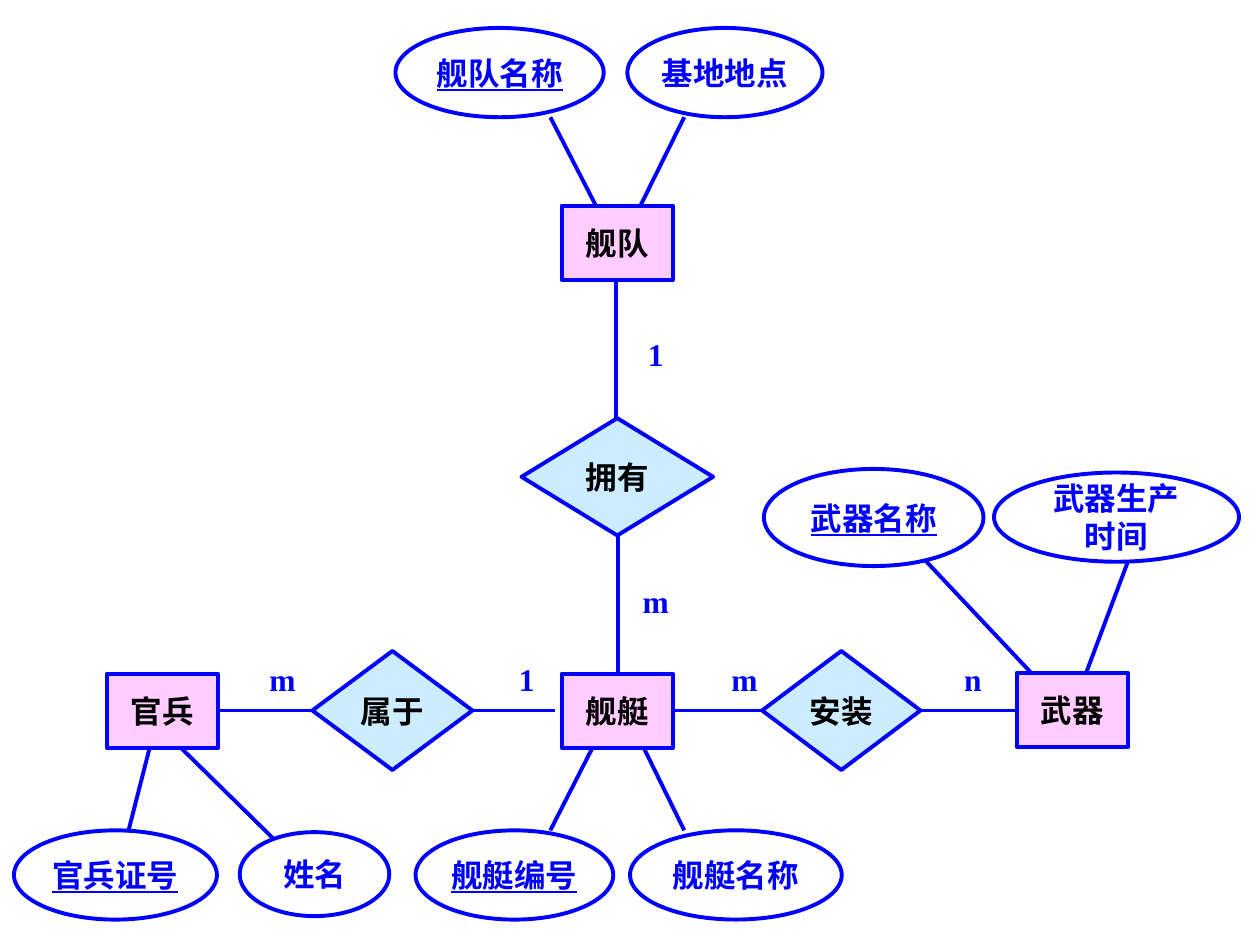
from dataclasses import dataclass

from lxml.etree import SubElement
from pptx import Presentation
from pptx.dml.color import RGBColor as RGB
from pptx.enum.shapes import MSO_CONNECTOR as Conn, MSO_SHAPE as Geo
from pptx.enum.text import MSO_ANCHOR as Anchor, PP_ALIGN as Align
from pptx.oxml.ns import qn
from pptx.util import Pt


@dataclass(frozen=True)
class Theme:
    blue: RGB = RGB(0, 0, 255)
    black: RGB = RGB(0, 0, 0)
    white: RGB = RGB(255, 255, 255)
    pink: RGB = RGB(255, 204, 255)
    sky: RGB = RGB(204, 236, 255)
    font: str = "Times New Roman"
    size: float = 18
    stroke: float = 2.25
    inset: float = 3


THEME = Theme()
BOX = (63.5, 42.5)

# Entity: name, left, top, then attributes as
# (name, is key, oval left/top/width/height, line from entity to oval).
ENTITIES = [
    ("舰队", 321, 117.5, [
        ("舰队名称", True, (226, 16, 119, 51), (340.5, 117.5, 314.5, 67)),
        ("基地地点", False, (358.5, 16, 111.5, 51), (366, 117.5, 391, 67)),
    ]),
    ("舰艇", 321, 385, [
        ("舰艇编号", True, (237.5, 474.5, 113, 51), (340.5, 423.5, 314.5, 474.5)),
        ("舰艇名称", False, (360, 474.5, 121, 51), (366, 423.5, 391, 474.5)),
    ]),
    ("武器", 581, 384.5, [
        ("武器名称", True, (436.5, 268, 125.5, 55.5), (593.5, 389, 529, 320.5)),
        ("武器生产\n时间", False, (568, 270, 140, 51), (619, 389, 644.5, 321)),
    ]),
    ("官兵", 61, 385, [
        ("官兵证号", True, (8, 474.5, 116, 51), (86.5, 423.5, 73.5, 474.5)),
        ("姓名", False, (137, 475.5, 85.5, 48), (99.5, 423.5, 156, 479)),
    ]),
]

# Relation: name, diamond frame, its two lines, its two cardinalities.
RELATIONS = [
    ("拥有", (298, 239, 109.5, 67),
     [(352, 239, 352, 160), (353, 306, 353, 384)],
     [("1", (356.5, 181.5, 36.5, 42)), ("m", (356.5, 322.5, 36.5, 42))]),
    ("属于", (178.5, 372, 91.5, 68),
     [(188, 406, 124.5, 406), (264, 406, 317, 406)],
     [("m", (149, 366.5, 25, 42.5)), ("1", (288.5, 366.5, 25, 42.5))]),
    ("安装", (435.5, 372, 90.5, 68),
     [(520, 406, 581, 406), (385, 406, 446.5, 406)],
     [("m", (413, 366.5, 25, 42.5)), ("n", (543.5, 366.5, 25, 42.5))]),
]


def write(shape, text, color=THEME.blue, under=None):
    frame = shape.text_frame
    frame.word_wrap = True
    frame.vertical_anchor = Anchor.MIDDLE
    frame.margin_left = frame.margin_right = Pt(THEME.inset)
    frame.margin_top = frame.margin_bottom = Pt(THEME.inset)
    frame.text = text
    for para in frame.paragraphs:
        para.alignment = Align.CENTER
        for run in para.runs:
            font = run.font
            font.name, font.size = THEME.font, Pt(THEME.size)
            font.bold, font.underline = True, under
            font.color.rgb = color


def node(slide, geo, frame, fill, text, **style):
    shape = slide.shapes.add_shape(geo, *map(Pt, frame))
    shape.shadow.inherit = False
    shape.fill.solid()
    shape.fill.fore_color.rgb = fill
    shape.line.color.rgb = THEME.blue
    shape.line.width = Pt(THEME.stroke)
    write(shape, text, **style)


def link(slide, ends):
    line = slide.shapes.add_connector(Conn.STRAIGHT, *map(Pt, ends))
    line.line.color.rgb = THEME.blue
    line.line.width = Pt(THEME.stroke)
    SubElement(line._element.spPr, qn("a:effectLst"))


def label(slide, text, frame):
    write(slide.shapes.add_textbox(*map(Pt, frame)), text)


def entity(slide, name, left, top, traits):
    """Draw an entity box with its attribute ovals; keys are underlined."""
    for text, key, frame, ends in traits:
        node(slide, Geo.OVAL, frame, THEME.white, text, under=key or None)
        link(slide, ends)
    node(slide, Geo.RECTANGLE, (left, top, *BOX), THEME.pink, name,
         color=THEME.black)


def relation(slide, name, frame, lines, counts):
    for ends in lines:
        link(slide, ends)
    for text, place in counts:
        label(slide, text, place)
    node(slide, Geo.DIAMOND, frame, THEME.sky, name, color=THEME.black)


def main():
    deck = Presentation()
    deck.slide_width, deck.slide_height = Pt(720), Pt(540)
    slide = deck.slides.add_slide(deck.slide_layouts[6])
    for item in ENTITIES:
        entity(slide, *item)
    for item in RELATIONS:
        relation(slide, *item)
    deck.save("out.pptx")


if __name__ == "__main__":
    main()
